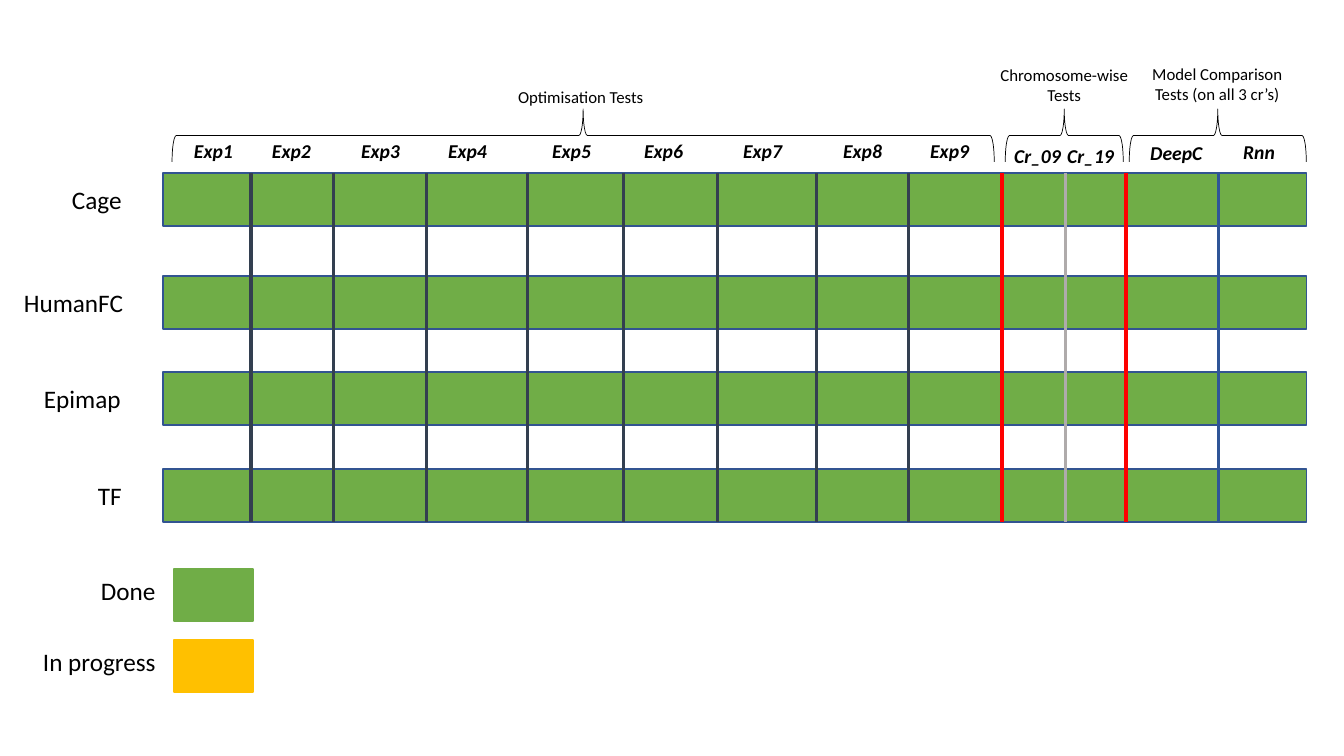
import pptx
import pptx.util
import pptx.dml.color
import pptx.enum.shapes
import pptx.enum.text
import pptx.oxml.ns
import lxml.etree

SCALE = 914400 / 100.8
FONT = "Calibri"
COLORS = {
    "done": "70AD47", "progress": "FFC000", "outline": "325491",
    "text": "000000", "experiment": "333F50", "group": "FF0000",
    "chromosome": "AFABAB", "model": "2F5597",
}

BAR_LEFT, BAR_WIDTH, BAR_HEIGHT = 163, 1143, 53
ROWS = [("Cage", 62, 76, 173), ("HumanFC", 14, 132, 276),
        ("Epimap", 34, 103, 372), ("TF", 88, 50, 469)]
COLUMNS = [
    ("Exp1", 184, 134, 66), ("Exp2", 262, 134, 66), ("Exp3", 351, 134, 66),
    ("Exp4", 438, 134, 66), ("Exp5", 542, 134, 66), ("Exp6", 634, 134, 66),
    ("Exp7", 733, 134, 66), ("Exp8", 833, 134, 66), ("Exp9", 920, 134, 66),
    ("Cr_09", 1004, 139, 77), ("Cr_19", 1057, 139, 67),
    ("DeepC", 1140, 136, 77), ("Rnn", 1233, 135, 77),
]
DIVIDERS = [
    ("group", 3, [1002, 1126]),
    ("experiment", 2.25, [251, 333, 426, 527, 623, 717, 816, 908]),
    ("chromosome", 2.25, [1065]),
    ("model", 2.25, [1218]),
]
BRACE_TOP, BRACE_HEIGHT = 109, 53
BRACES = [(172, 822), (1005, 118), (1129, 177)]
GROUPS = [
    (["Optimisation Tests"], 508, 82, 30, "LEFT"),
    (["Chromosome-wise Tests"], 983, 60, 50, "CENTER"),
    (["Model Comparison", "Tests (on all 3 cr’s)"], 1136, 59, 50, "CENTER"),
]
LEGEND = [("Done", 91, 76, 569, "done"), ("In progress", 33, 141, 640, "progress")]

deck = pptx.Presentation()
deck.slide_width, deck.slide_height = pptx.util.Inches(13.33), pptx.util.Inches(7.5)
page = deck.slides.add_slide(deck.slide_layouts[6])


def px(*lengths):
    return [round(length * SCALE) for length in lengths]


def color(name):
    return pptx.dml.color.RGBColor.from_string(COLORS[name])


def add_shape(kind, left, top, width, height, fill, line, weight):
    shape = page.shapes.add_shape(kind, *px(left, top, width, height))
    shape.shadow.inherit = False
    if fill:
        shape.fill.solid()
        shape.fill.fore_color.rgb = color(fill)
    else:
        shape.fill.background()
    shape.line.color.rgb = color(line)
    shape.line.width = pptx.util.Pt(weight)
    return shape


def add_rectangle(left, top, width, height, fill, line):
    kind = pptx.enum.shapes.MSO_SHAPE.RECTANGLE
    return add_shape(kind, left, top, width, height, fill, line, 1)


def add_text(lines, left, top, width, height, size, align="LEFT", strong=False):
    box = page.shapes.add_textbox(*px(left, top, width, height))
    box.text_frame.word_wrap = True
    box.text_frame.text = "\n".join(lines)
    for para in box.text_frame.paragraphs:
        para.alignment = getattr(pptx.enum.text.PP_ALIGN, align)
        para.font.name = FONT
        para.font.size = pptx.util.Pt(size)
        para.font.color.rgb = color("text")
        if strong:
            para.font.bold = para.font.italic = True


def add_brace(left, width):
    turned_left = left + (width - BRACE_HEIGHT) / 2
    turned_top = BRACE_TOP + (BRACE_HEIGHT - width) / 2
    brace = add_shape(pptx.enum.shapes.MSO_SHAPE.RIGHT_BRACE, turned_left, turned_top,
                      BRACE_HEIGHT, width, None, "text", 0.5)
    brace.rotation = 270
    brace.adjustments[0], brace.adjustments[1] = 0.08, 0.5


def add_divider(x, top, bottom, name, weight):
    line = page.shapes.add_connector(pptx.enum.shapes.MSO_CONNECTOR.STRAIGHT,
                                     *px(x, top, x, bottom))
    line.line.color.rgb = color(name)
    line.line.width = pptx.util.Pt(weight)
    lxml.etree.SubElement(line._element.spPr, pptx.oxml.ns.qn("a:effectLst"))


for name, left, width, top in ROWS:
    add_rectangle(BAR_LEFT, top, BAR_WIDTH, BAR_HEIGHT, "done", "outline")
    add_text([name], left, top + 6, width, 40, 18)

for name, left, top, width in COLUMNS:
    add_text([name], left, top, width, 34, 14, strong=True)

for left, width in BRACES:
    add_brace(left, width)

for lines, left, top, height, align in GROUPS:
    add_text(lines, left, top, 162, height, 12, align)

grid_top, grid_bottom = ROWS[0][3], ROWS[-1][3] + BAR_HEIGHT
for name, weight, positions in DIVIDERS:
    for x in positions:
        add_divider(x, grid_top, grid_bottom, name, weight)

for name, left, width, top, fill in LEGEND:
    add_rectangle(174, top, 79, 52, fill, fill)
    add_text([name], left, top + 1, width, 40, 18)

deck.save("out.pptx")
